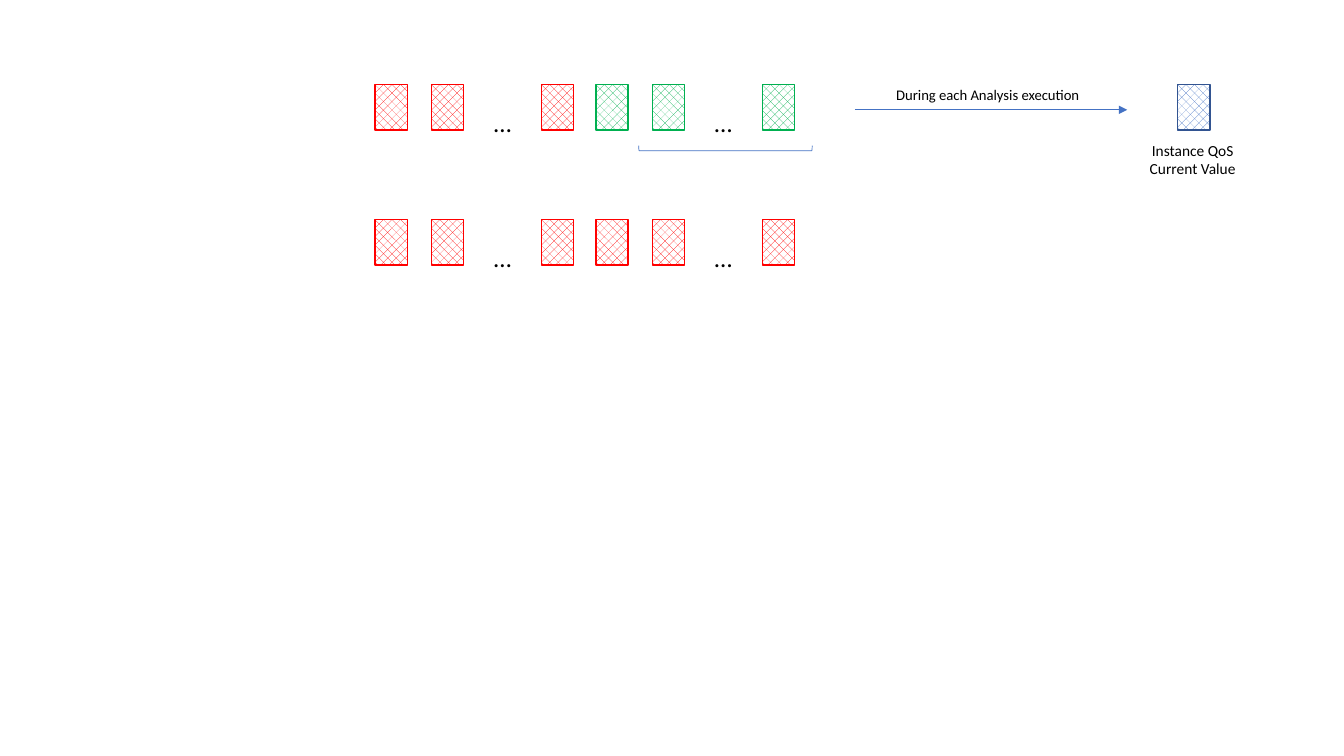
from dataclasses import dataclass
from typing import Optional

from lxml.etree import SubElement
from pptx import Presentation
from pptx.dml.color import RGBColor
from pptx.enum.dml import MSO_PATTERN
from pptx.enum.shapes import MSO_CONNECTOR, MSO_SHAPE
from pptx.enum.text import MSO_AUTO_SIZE, PP_ALIGN
from pptx.oxml.ns import qn
from pptx.slide import Slide
from pptx.util import Inches, Pt


@dataclass(frozen=True)
class Theme:
    font: str = "Calibri"
    text: RGBColor = RGBColor(0x00, 0x00, 0x00)
    paper: RGBColor = RGBColor(0xFF, 0xFF, 0xFF)
    red: RGBColor = RGBColor(0xFF, 0x00, 0x00)
    green: RGBColor = RGBColor(0x00, 0xB0, 0x50)
    blue: RGBColor = RGBColor(0x44, 0x72, 0xC4)
    navy: RGBColor = RGBColor(0x32, 0x54, 0x91)
    ellipsis_size: float = 18
    arrow_size: float = 10.5
    result_size: float = 11
    sample_line: float = 1
    thin_line: float = 0.5


THEME = Theme()


@dataclass(frozen=True)
class Sample:
    left: float
    top: float
    fill: RGBColor
    line: RGBColor


@dataclass(frozen=True)
class Label:
    text: str
    left: float
    top: float
    width: float
    height: float
    size: float
    wrap: bool = False
    align: Optional[PP_ALIGN] = None


@dataclass(frozen=True)
class SampleRow:
    top: float
    older: RGBColor
    recent: RGBColor


SAMPLE_WIDTH, SAMPLE_HEIGHT = 0.32, 0.45
GROUP_LEFTS = (3.72, 5.91)
SAMPLE_OFFSETS = (0, 0.56, 1.65)
ELLIPSIS_OFFSET, ELLIPSIS_DROP = 1.08, 0.18
ROWS = (
    SampleRow(0.84, THEME.red, THEME.green),
    SampleRow(2.18, THEME.red, THEME.red),
)
RESULT = Sample(11.68, 0.84, THEME.blue, THEME.navy)
LABELS = (
    Label("During each Analysis execution", 8.79, 0.8, 2.05, 0.28, THEME.arrow_size),
    Label("Instance QoS Current Value", 11.13, 1.35, 1.4, 0.47,
          THEME.result_size, True, PP_ALIGN.CENTER),
)


def add_sample(page: Slide, sample: Sample) -> None:
    box = page.shapes.add_shape(
        MSO_SHAPE.RECTANGLE, Inches(sample.left), Inches(sample.top),
        Inches(SAMPLE_WIDTH), Inches(SAMPLE_HEIGHT))
    box.shadow.inherit = False
    box.fill.patterned()
    box.fill.pattern = MSO_PATTERN.from_xml("pct40")
    box.fill.fore_color.rgb = sample.fill
    box.fill.back_color.rgb = THEME.paper
    box.line.color.rgb = sample.line
    box.line.width = Pt(THEME.sample_line)


def add_label(page: Slide, label: Label) -> None:
    box = page.shapes.add_textbox(
        Inches(label.left), Inches(label.top), Inches(label.width), Inches(label.height))
    frame = box.text_frame
    frame.word_wrap = label.wrap
    frame.auto_size = MSO_AUTO_SIZE.SHAPE_TO_FIT_TEXT
    para = frame.paragraphs[0]
    para.alignment = label.align
    span = para.add_run()
    span.text = label.text
    span.font.name = THEME.font
    span.font.size = Pt(label.size)
    span.font.color.rgb = THEME.text


def add_row(page: Slide, row: SampleRow) -> None:
    for left, color in zip(GROUP_LEFTS, (row.older, row.recent)):
        for offset in SAMPLE_OFFSETS:
            add_sample(page, Sample(left + offset, row.top, color, color))
        add_label(page, Label("…", left + ELLIPSIS_OFFSET, row.top + ELLIPSIS_DROP,
                              0.38, 0.4, THEME.ellipsis_size))


def add_arrow(page: Slide, start: float, end: float, height: float) -> None:
    arrow = page.shapes.add_connector(
        MSO_CONNECTOR.STRAIGHT, Inches(start), Inches(height), Inches(end), Inches(height))
    arrow.line.color.rgb = THEME.blue
    arrow.line.width = Pt(THEME.thin_line)
    properties = arrow._element.spPr
    SubElement(properties.find(qn("a:ln")), qn("a:tailEnd"), type="triangle")
    SubElement(properties, qn("a:effectLst"))


def add_bracket(page: Slide) -> None:
    bracket = page.shapes.add_shape(
        MSO_SHAPE.LEFT_BRACKET, Inches(7.17), Inches(0.61), Inches(0.05), Inches(1.72))
    bracket.rotation = 270
    bracket.shadow.inherit = False
    bracket.fill.background()
    bracket.line.color.rgb = THEME.blue
    bracket.line.width = Pt(THEME.thin_line)


def main() -> None:
    deck = Presentation()
    deck.slide_width, deck.slide_height = Inches(13.33), Inches(7.5)
    page = deck.slides.add_slide(deck.slide_layouts[6])
    for row in ROWS:
        add_row(page, row)
    add_arrow(page, 8.48, 11.18, 1.09)
    add_sample(page, RESULT)
    for label in LABELS:
        add_label(page, label)
    add_bracket(page)
    deck.save("out.pptx")


if __name__ == "__main__":
    main()
